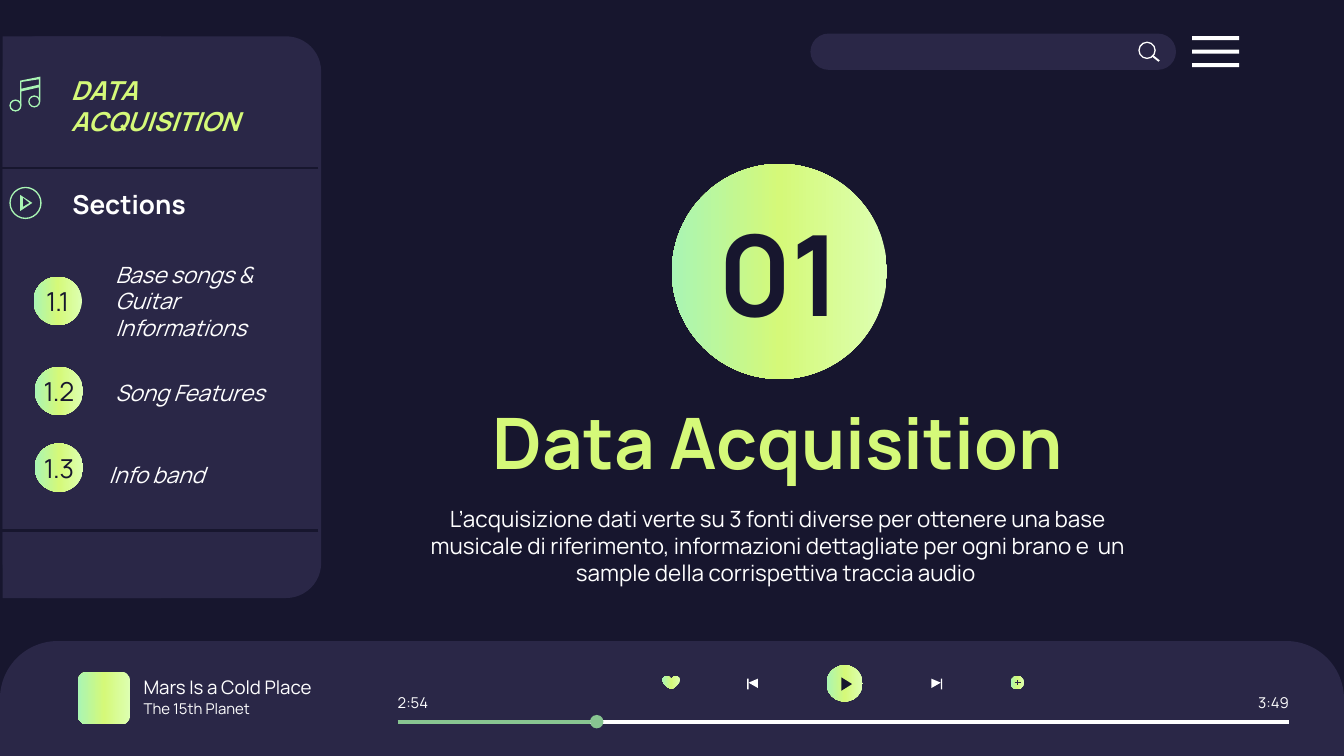
from lxml.etree import SubElement
from pptx import Presentation
from pptx.dml.color import RGBColor
from pptx.enum.shapes import MSO_CONNECTOR, MSO_SHAPE
from pptx.enum.text import MSO_ANCHOR, PP_ALIGN
from pptx.oxml.ns import qn
from pptx.util import Inches, Pt

COLORS = {
    "night": "17162E", "panel": "2A2747", "white": "FFFFFF",
    "lime": "D5F979", "mint": "A9F5B4", "pale": "DDFFB2", "progress": "88C591",
}
GRADIENT = ((0, "pale"), (50, "lime"), (100, "mint"))


def color(name):
    return RGBColor.from_string(COLORS[name])


def write(shape, text, size=12, ink="white", bold=False, italic=False,
          align=PP_ALIGN.LEFT, side=0.1, after=0):
    frame = shape.text_frame
    frame.word_wrap = True
    frame.vertical_anchor = MSO_ANCHOR.MIDDLE
    frame.margin_left = frame.margin_right = Inches(side)
    frame.margin_top = frame.margin_bottom = Inches(0.1)
    para = frame.paragraphs[0]
    para.alignment = align
    para.line_spacing = 1.0
    para.space_before, para.space_after = Pt(0), Pt(after)
    span = para.add_run()
    span.text = text
    font = span.font
    font.name, font.size = "Manrope", Pt(size)
    font.bold, font.italic = bold, italic
    font.color.rgb = color(ink)


class Player:
    """Holds the style and the slide being drawn."""

    def __init__(self, page):
        self.page = page
        self.shapes = page.shapes
        page.background.fill.solid()
        page.background.fill.fore_color.rgb = color("night")

    def paint(self, shape, fill):
        """Fill with a named colour, or with the brand gradient for "gradient"."""
        shape.shadow.inherit = False
        shape.line.fill.background()
        if fill != "gradient":
            shape.fill.solid()
            shape.fill.fore_color.rgb = color(fill)
            return shape
        shape.fill.gradient()
        shape.fill.gradient_angle = 180
        stops = next(shape._element.iter(qn("a:gsLst")))
        for stop in list(stops):
            stops.remove(stop)
        for percent, name in GRADIENT:
            stop = SubElement(stops, qn("a:gs"), pos=str(percent * 1000))
            SubElement(stop, qn("a:srgbClr"), val=COLORS[name])
        return shape

    def shape(self, kind, left, top, width, height, fill, adjust=()):
        shape = self.shapes.add_shape(
            kind, Inches(left), Inches(top), Inches(width), Inches(height))
        for index, value in enumerate(adjust):
            shape.adjustments[index] = value
        return self.paint(shape, fill)

    def disc(self, left, top, size, fill="gradient"):
        return self.shape(MSO_SHAPE.OVAL, left, top, size, size, fill)

    def ring(self, left, top, size, fill, thickness):
        return self.shape(MSO_SHAPE.DONUT, left, top, size, size, fill, [thickness / size])

    def outline(self, fill, *contours):
        """Draw closed contours as one shape; inner contours become holes."""
        points = [[(Inches(x), Inches(y)) for x, y in contour] for contour in contours]
        builder = self.shapes.build_freeform(*points[0][0])
        builder.add_line_segments(points[0][1:], close=True)
        for contour in points[1:]:
            builder.move_to(*contour[0])
            builder.add_line_segments(contour[1:], close=True)
        return self.paint(builder.convert_to_shape(), fill)

    def line(self, start, end, ink, width):
        line = self.shapes.add_connector(
            MSO_CONNECTOR.STRAIGHT, *(Inches(value) for value in (*start, *end)))
        line.line.color.rgb = color(ink)
        line.line.width = Pt(width)
        SubElement(line._element.spPr, qn("a:effectLst"))

    def text(self, left, top, width, height, text, **style):
        box = self.shapes.add_textbox(
            Inches(left), Inches(top), Inches(width), Inches(height))
        write(box, text, **style)

    def placeholder(self, index, left, top, width, height, text, **style):
        box = self.page.placeholders[index]
        box.left, box.top = Inches(left), Inches(top)
        box.width, box.height = Inches(width), Inches(height)
        write(box, text, align=PP_ALIGN.CENTER, **style)


def draw_search_bar(player):
    player.shape(MSO_SHAPE.ROUNDED_RECTANGLE, 6.03, 0.25, 2.72, 0.27, "panel", [0.5])
    for row in range(3):
        player.shape(MSO_SHAPE.RECTANGLE, 8.87, 0.27 + row * 0.1, 0.35, 0.03, "white")
    player.ring(8.47, 0.31, 0.13, "white", 0.01)
    player.outline("white", [(8.58, 0.41), (8.57, 0.42), (8.62, 0.46), (8.63, 0.45)])


def draw_player_bar(player):
    player.shape(MSO_SHAPE.ROUND_2_SAME_RECTANGLE, 0, 4.77, 10, 0.86, "panel", [0.5, 0])
    player.shape(MSO_SHAPE.ROUNDED_RECTANGLE, 0.58, 5, 0.39, 0.39, "gradient", [0.17])
    player.text(0.97, 5.03, 1.91, 0.17, "Mars Is a Cold Place", size=10)
    player.text(0.97, 5.19, 1.15, 0.17, "The 15th Planet", size=8)
    player.text(2.96, 5.14, 0.27, 0.17, "2:54", size=8, side=0)
    player.text(9.32, 5.14, 0.27, 0.17, "3:49", size=8, side=0, align=PP_ALIGN.RIGHT)

    player.shape(MSO_SHAPE.HEART, 4.93, 5.03, 0.13, 0.1, "gradient")
    player.disc(7.52, 5.03, 0.1)
    player.line((7.57, 5.06), (7.57, 5.1), "panel", 0.75)
    player.line((7.55, 5.08), (7.6, 5.08), "panel", 0.75)
    player.disc(6.15, 4.95, 0.27)
    player.outline("night", [(6.26, 5.04), (6.26, 5.14), (6.34, 5.09)])
    for bar, base, tip in ((7, 6.93, 7), (5.56, 5.64, 5.57)):
        player.outline("white", [(base, 5.05), (base, 5.12), (tip, 5.08)])
        player.shape(MSO_SHAPE.RECTANGLE, bar, 5.05, 0.01, 0.08, "white")

    player.line((2.96, 5.37), (9.59, 5.37), "white", 2.25)
    player.disc(4.39, 5.32, 0.1, "progress")
    player.line((2.96, 5.37), (4.39, 5.37), "progress", 2.25)


def draw_sidebar(player):
    player.shape(MSO_SHAPE.RECTANGLE, 0.02, 0.27, 1.18, 4.18, "panel")
    player.shape(MSO_SHAPE.ROUNDED_RECTANGLE, 0.02, 0.27, 2.37, 4.18, "panel", [0.11])
    player.text(0.43, 0.49, 1.8, 0.59, "DATA ACQUISITION",
                size=14, ink="lime", bold=True, italic=True)
    player.text(0.44, 1.34, 1.3, 0.36, "Sections", size=14, bold=True)

    note_stems = [(0.15, 0.78), (0.15, 0.6), (0.3, 0.57), (0.3, 0.75), (0.29, 0.75),
                  (0.29, 0.65), (0.16, 0.68), (0.16, 0.78)]
    note_beam_gap = [(0.16, 0.61), (0.16, 0.66), (0.29, 0.63), (0.29, 0.59)]
    player.outline("mint", note_stems, note_beam_gap)
    for left, top in ((0.07, 0.74), (0.21, 0.71)):
        player.ring(left, top, 0.09, "mint", 0.01)

    player.ring(0.07, 1.39, 0.24, "mint", 0.01)
    player.outline("mint", [(0.15, 1.45), (0.15, 1.57), (0.24, 1.51)],
                   [(0.17, 1.47), (0.22, 1.51), (0.17, 1.54)])

    for y in (1.25, 3.95):
        player.line((2.37, y), (0, y), "night", 1.5)

    sections = (
        ("1.1", (0.25, 2.06), (0.76, 1.96, 1.37, 0.56), "Base songs & Guitar Informations"),
        ("1.2", (0.26, 2.73), (0.76, 2.66, 1.47, 0.52), "Song Features"),
        ("1.3", (0.26, 3.3), (0.71, 3.27, 1.61, 0.52), "Info band"),
    )
    for number, corner, area, label in sections:
        badge = player.disc(*corner, 0.36)
        write(badge, number, size=14, ink="night", align=PP_ALIGN.CENTER, side=0)
        player.text(*area, label, italic=True)


def draw_heading(player):
    player.disc(5, 1.22, 1.6)
    player.text(5, 1.56, 1.6, 0.92, "01", size=60, ink="night", bold=True,
                align=PP_ALIGN.CENTER)
    player.placeholder(0, 2.92, 2.82, 5.74, 0.92, "Data Acquisition",
                       size=38, ink="lime", bold=True)
    player.placeholder(
        1, 2.92, 3.67, 5.74, 0.78,
        "L’acquisizione dati verte su 3 fonti diverse per ottenere una base musicale "
        "di riferimento, informazioni dettagliate per ogni brano e  un sample della "
        "corrispettiva traccia audio ", after=16)


def main():
    deck = Presentation()
    deck.slide_width = Inches(10)
    deck.slide_height = deck.slide_width * 9 // 16
    player = Player(deck.slides.add_slide(deck.slide_layouts[0]))
    draw_search_bar(player)
    draw_player_bar(player)
    draw_heading(player)
    draw_sidebar(player)
    deck.save("out.pptx")


if __name__ == "__main__":
    main()
